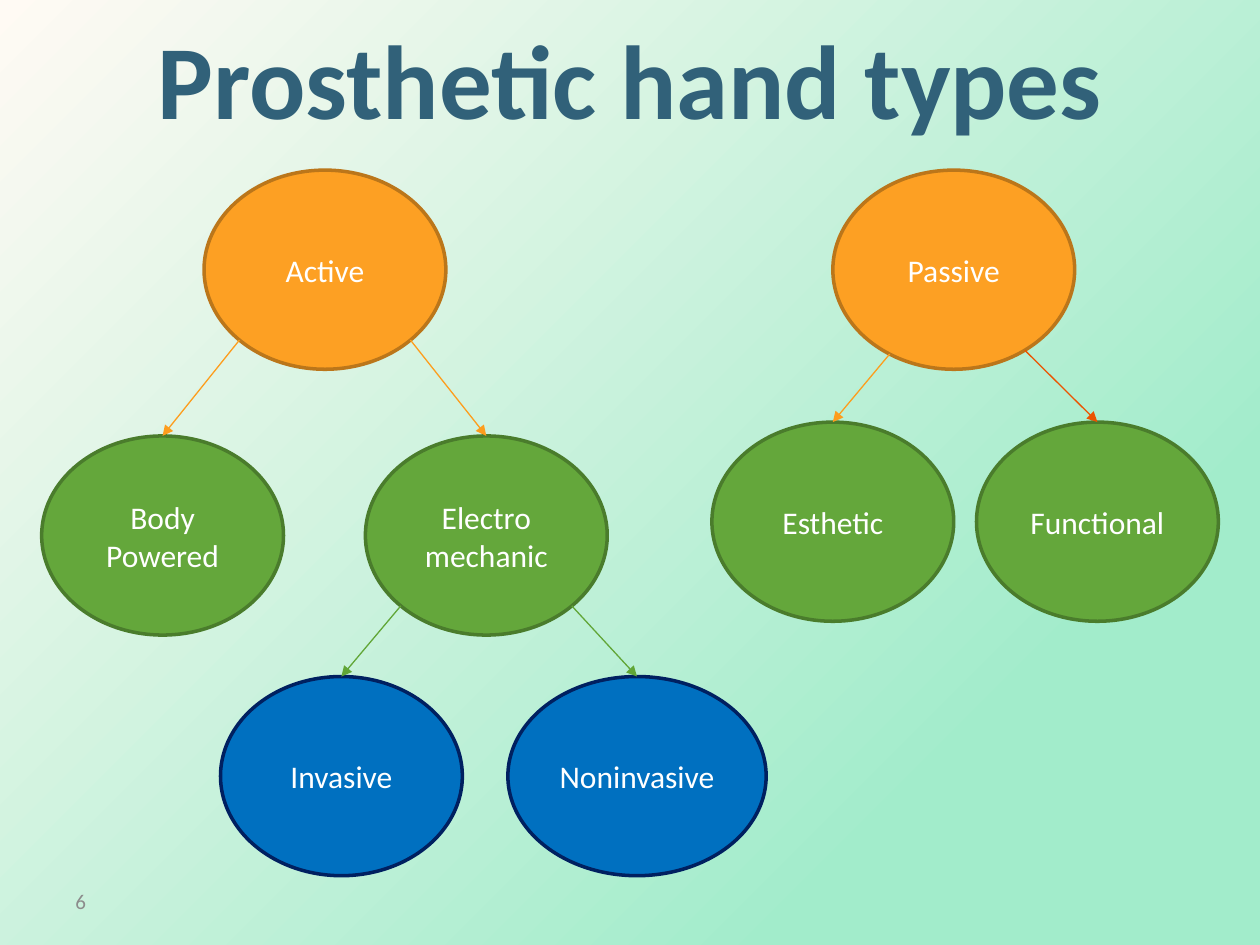
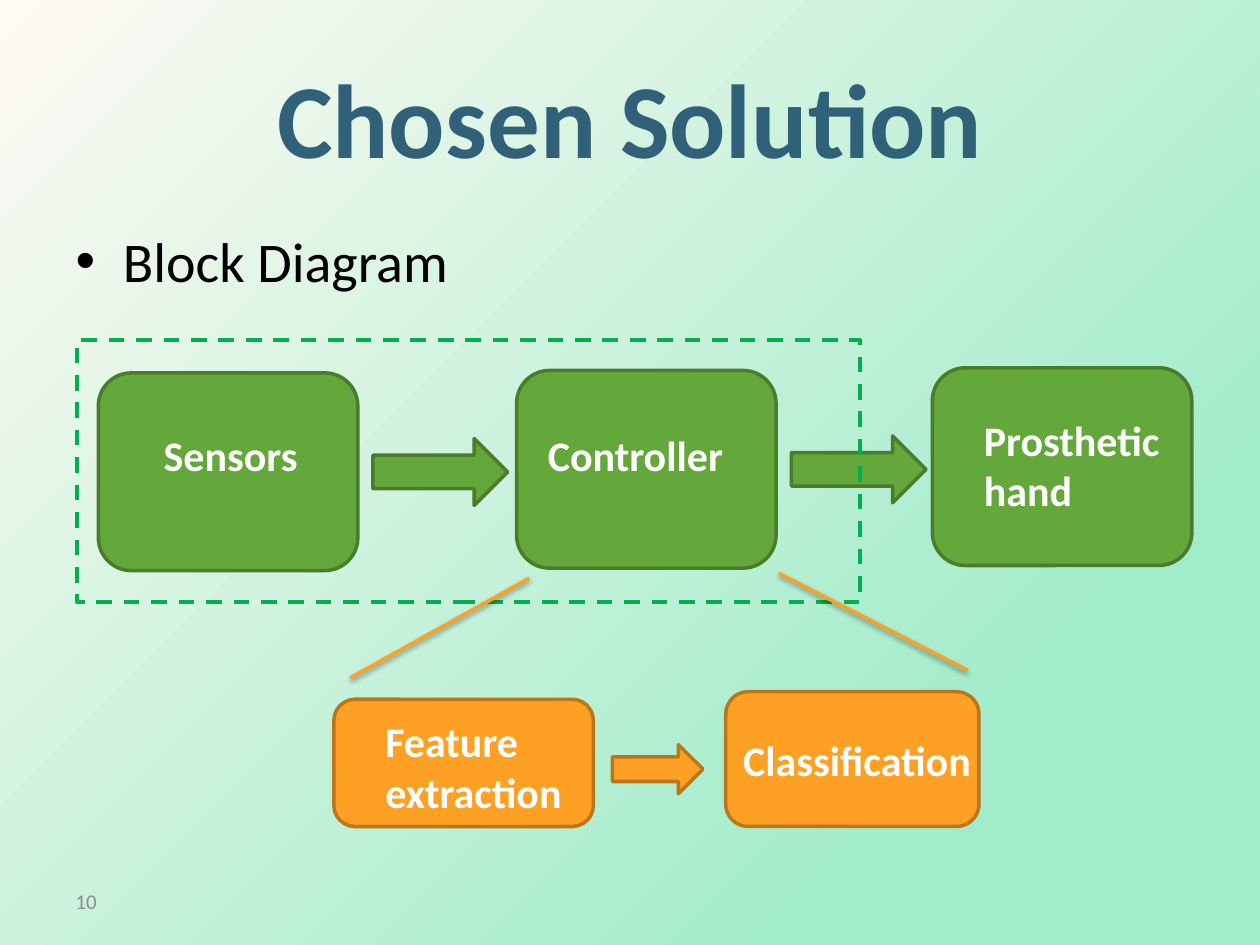
"""Build two slides: a tree of prosthetic hand types and a block diagram of the chosen solution."""
from math import cos, radians, sin

from lxml.etree import SubElement
from pptx import Presentation
from pptx.dml.color import RGBColor
from pptx.enum.dml import MSO_LINE
from pptx.enum.shapes import MSO_CONNECTOR, MSO_SHAPE as SHAPE
from pptx.enum.text import MSO_ANCHOR as ANCHOR, PP_ALIGN as ALIGN
from pptx.oxml.ns import qn
from pptx.util import Pt

COLOURS = {
    "title": "316179", "body": "000000", "number": "8C8C8C", "white": "FFFFFF",
    "cream": "FFFAF4", "mint": "A2ECCB", "frame": "00B050",
    "orange": "FDA023", "orange edge": "BB761A", "orange link": "FD9D1D",
    "green": "64A73B", "green edge": "4A7C2C", "green link": "61A637",
    "blue": "0070C0", "blue edge": "002060", "red link": "EB5300",
}
FONTS = {
    "title": {"name": "Calibri", "size": Pt(60), "bold": True},
    "body": {"name": "Calibri", "size": Pt(32), "bold": False},
    "number": {"name": "Calibri", "size": Pt(12), "bold": False},
    "node": {"name": "Calibri", "size": Pt(18), "bold": False},
    "block": {"name": "Calibri", "size": Pt(24), "bold": True},
}

NODE_W, NODE_H = 138.2, 113.8
HAND_TYPES = {
    "Body\vPowered": (23.8, 249.1, NODE_W, "green"),
    "Electro\nmechanic": (208.8, 249.1, NODE_W, "green"),
    "Active": (116.6, 97.2, NODE_W, "orange"),
    "Invasive": (126, 386.6, NODE_W, "blue"),
    "Noninvasive": (290.2, 386.6, 147.6, "blue"),
    "Passive": (475.9, 97.2, NODE_W, "orange"),
    "Esthetic": (406.8, 241.2, NODE_W, "green"),
    "Functional": (558, 241.2, NODE_W, "green"),
}
BRANCHES = [
    ("Active", "Body\vPowered", 135, "orange link"),
    ("Active", "Electro\nmechanic", 45, "orange link"),
    ("Electro\nmechanic", "Invasive", 135, "green link"),
    ("Electro\nmechanic", "Noninvasive", 45, "green link"),
    ("Passive", "Esthetic", 122, "orange link"),
    ("Passive", "Functional", 54, "red link"),
]

STAGES = [
    ("Sensors", (56.2, 213.1, 148.3, 113), (86.4, 241.9, 100.8, 36)),
    ("Controller", (295.2, 211.7, 148.3, 113), (306, 241.9, 120.2, 36)),
    ("Prosthetic hand", (532.8, 210.2, 148.3, 113), (555.1, 233.3, 120.2, 65.5)),
]
STAGE_ARROWS = [(213.1, 250.6, 77, 38.2), (452.2, 249.1, 77, 38.2)]
CONTROLLER_STEPS = [
    ("Feature extraction", (190.8, 399.6, 148.3, 72.7), (213.1, 405.4, 120.2, 65.5)),
    ("Classification", (414.7, 395.3, 144.7, 77), (417.6, 416.2, 149.8, 36)),
]
STEP_ARROWS = [(349.9, 425.5, 51.8, 28.1)]
SYSTEM_FRAME = (43.9, 194.4, 447.8, 149.8)
ZOOM_LINES = [(302.4, 330.5, 200.2, 387.4), (445, 327.6, 553, 383)]


def colour(key):
    return RGBColor.from_string(COLOURS[key])


def points(lengths):
    return [Pt(length) for length in lengths]


def apply(target, values):
    for name, value in values.items():
        setattr(target, name, value)


def write(holder, text, style, ink, align=ALIGN.LEFT, anchor=ANCHOR.TOP):
    frame = holder.text_frame
    frame.text = text
    apply(frame, {"word_wrap": True, "vertical_anchor": anchor})
    for paragraph in frame.paragraphs:
        paragraph.alignment = align
        apply(paragraph.font, FONTS[style])
        paragraph.font.color.rgb = colour(ink)


def place(holder, box):
    apply(holder, dict(zip(("left", "top", "width", "height"), points(box))))


def start_slide(deck, layout, title, title_top, number):
    slide = deck.slides.add_slide(deck.slide_layouts[layout])
    place(slide.shapes.title, (36, title_top, 648, 90))
    write(slide.shapes.title, title, "title", "title", ALIGN.CENTER, ANCHOR.MIDDLE)
    add_label(slide, number, (36, 500.4, 168, 28.8), "number", "number", ANCHOR.MIDDLE)
    return slide


def add_label(slide, text, box, style="block", ink="white", anchor=ANCHOR.TOP):
    write(slide.shapes.add_textbox(*points(box)), text, style, ink, anchor=anchor)


def add_figure(slide, kind, box, hue):
    figure = slide.shapes.add_shape(kind, *points(box))
    figure.shadow.inherit = False
    figure.fill.solid()
    figure.fill.fore_color.rgb = colour(hue)
    figure.line.color.rgb = colour(hue + " edge")
    figure.line.width = Pt(2)
    return figure


def add_line(slide, ends, hue, width):
    line = slide.shapes.add_connector(MSO_CONNECTOR.STRAIGHT, *points(ends))
    line.line.color.rgb = colour(hue)
    line.line.width = Pt(width)
    properties = line._element.spPr
    return properties.find(qn("a:ln")), SubElement(properties, qn("a:effectLst"))


def add_branch(slide, parent, child, angle, hue):
    left, top, width, _ = HAND_TYPES[parent]
    child_left, child_top, child_width, _ = HAND_TYPES[child]
    turn = radians(angle)
    start = (left + width / 2 * (1 + cos(turn)), top + NODE_H / 2 * (1 + sin(turn)))
    outline, _ = add_line(slide, (*start, child_left + child_width / 2, child_top), hue, 0.75)
    SubElement(outline, qn("a:tailEnd"), type="triangle")


def add_zoom_line(slide, ends):
    _, effects = add_line(slide, ends, "orange", 2)
    shadow = SubElement(effects, qn("a:outerShdw"), blurRad=str(Pt(3.1)), dist=str(Pt(1.6)),
                        dir="5400000", rotWithShape="0")
    black = SubElement(shadow, qn("a:srgbClr"), val=COLOURS["body"])
    SubElement(black, qn("a:alpha"), val="38000")


def add_flow(slide, blocks, arrows, hue):
    for _, box, _ in blocks:
        add_figure(slide, SHAPE.ROUNDED_RECTANGLE, box, hue)
    for box in arrows:
        add_figure(slide, SHAPE.RIGHT_ARROW, box, hue)
    for text, _, box in blocks:
        add_label(slide, text, box)


def paint_background(master):
    fill = master.background.fill
    fill.gradient()
    fill.gradient_angle = 315
    for stop, (hue, position) in zip(fill.gradient_stops, (("cream", 0), ("mint", 0.78))):
        stop.color.rgb = colour(hue)
        stop.position = position


def build_hand_types(deck):
    slide = start_slide(deck, 5, "Prosthetic hand types", -0.7, "6")
    for text, (left, top, width, hue) in HAND_TYPES.items():
        node = add_figure(slide, SHAPE.OVAL, (left, top, width, NODE_H), hue)
        write(node, text, "node", "white", ALIGN.CENTER, ANCHOR.MIDDLE)
    for branch in BRANCHES:
        add_branch(slide, *branch)


def build_solution(deck):
    slide = start_slide(deck, 1, "Chosen Solution", 21.6, "10")
    heading = slide.placeholders[1]
    place(heading, (36, 126, 648, 356.4))
    heading.text_frame.text = "Block Diagram"
    indents = heading.text_frame.paragraphs[0]._p.get_or_add_pPr()
    for name in ("marL", "indent"):
        indents.set(name, "0")
    SubElement(indents, qn("a:buNone"))
    write(heading, "Block Diagram", "body", "body")

    add_flow(slide, STAGES, STAGE_ARROWS, "green")
    system = slide.shapes.add_shape(SHAPE.RECTANGLE, *points(SYSTEM_FRAME))
    system.shadow.inherit = False
    system.fill.background()
    system.line.color.rgb = colour("frame")
    apply(system.line, {"width": Pt(2.25), "dash_style": MSO_LINE.DASH})
    for ends in ZOOM_LINES:
        add_zoom_line(slide, ends)
    add_flow(slide, CONTROLLER_STEPS, STEP_ARROWS, "orange")


def main():
    deck = Presentation()
    apply(deck, {"slide_width": Pt(720), "slide_height": Pt(540)})
    paint_background(deck.slide_master)
    build_hand_types(deck)
    build_solution(deck)
    deck.save("out.pptx")


if __name__ == "__main__":
    main()
